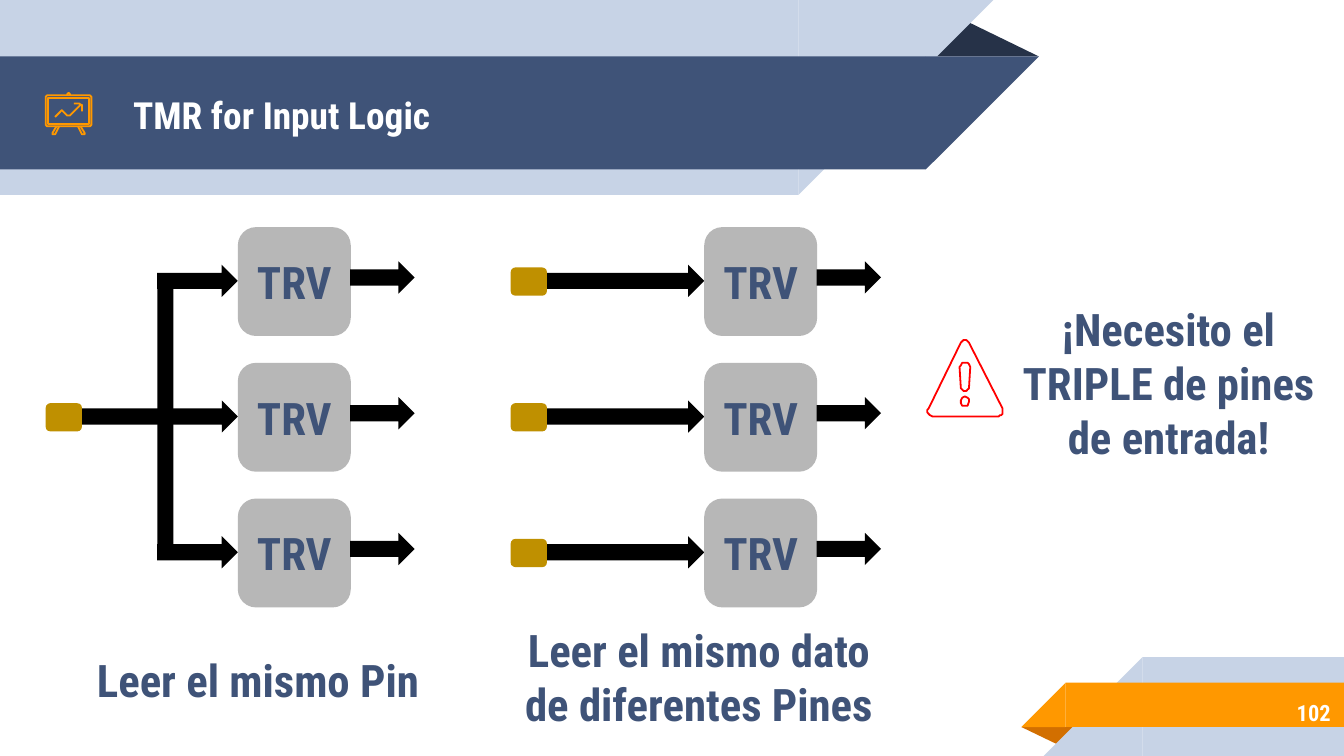
import pptx
import pptx.util
import pptx.dml.color
import pptx.enum.shapes
import pptx.enum.text
import pptx.oxml.ns
import lxml.etree

RGB = pptx.dml.color.RGBColor
KIND = pptx.enum.shapes.MSO_SHAPE
ALIGN = pptx.enum.text.PP_ALIGN
NAVY, DARK, PALE = RGB(63, 83, 120), RGB(38, 50, 72), RGB(199, 211, 230)
ORANGE, RUST, GOLD = RGB(255, 152, 0), RGB(210, 111, 0), RGB(191, 144, 0)
GREY, BLACK = RGB(183, 183, 183), RGB(0, 0, 0)
WHITE, RED = RGB(255, 255, 255), RGB(255, 0, 0)

# Wide 16:9 page
deck = pptx.Presentation()
deck.slide_width = pptx.util.Inches(10)
deck.slide_height = deck.slide_width * 9 // 16
page = deck.slides.add_slide(deck.slide_layouts.get_by_name("Comparison"))
# Square grid: 1000 columns across the slide
GRID = deck.slide_width // 1000


def add_block(kind, left, top, width, height, color, rotation=0, flip=False):
    block = page.shapes.add_shape(kind, *[int(n * GRID) for n in (left, top, width, height)])
    block.shadow.inherit = False
    block.fill.solid()
    block.fill.fore_color.rgb = color
    block.line.fill.background()
    block.rotation = rotation
    if flip:
        block._element.spPr.xfrm.set("flipH", "1")
    return block


def write(box, text, size, color, align, before=0, after=0):
    frame = box.text_frame
    frame_format = {
        "word_wrap": True,
        "auto_size": pptx.enum.text.MSO_AUTO_SIZE.NONE,
        "vertical_anchor": pptx.enum.text.MSO_ANCHOR.MIDDLE,
    }
    for side in ("left", "top", "right", "bottom"):
        frame_format["margin_" + side] = 10 * GRID
    for name, value in frame_format.items():
        setattr(frame, name, value)
    para = frame.paragraphs[0]
    span = para.add_run()
    span.text = text
    para_format = {
        "alignment": align,
        "line_spacing": 1.0,
        "space_before": pptx.util.Pt(before),
        "space_after": pptx.util.Pt(after),
    }
    for name, value in para_format.items():
        setattr(para, name, value)
    font_format = {"name": "Roboto Condensed", "size": pptx.util.Pt(size), "bold": True}
    for name, value in font_format.items():
        setattr(span.font, name, value)
    span.font.color.rgb = color


# Header and footer ribbons
add_block(KIND.ISOSCELES_TRIANGLE, 688, 14, 85, 28, DARK).adjustments[0] = 0.324
for top, width, height, color in [(0, 594, 145, PALE), (42, 689, 84, NAVY)]:
    add_block(KIND.RECTANGLE, 0, top, width, height, color)
    add_block(KIND.RIGHT_TRIANGLE, width, top, height, height, color, 180, True)
fold = add_block(KIND.ISOSCELES_TRIANGLE, 760, 541, 43, 14, RUST, 180)
fold.adjustments[0] = 0.324
for left, top, height, color in [(850, 489, 73.5, PALE), (793, 508, 33, ORANGE)]:
    add_block(KIND.RECTANGLE, left, top, 1000 - left, height, color)
    add_block(KIND.RIGHT_TRIANGLE, left - height, top, height, height, color, 0, True)

# Title, captions and warning, in the layout's placeholders
slots = {slot.placeholder_format.idx: slot for slot in page.placeholders}
unused = slots.pop(4)._element
unused.getparent().remove(unused)
texts = [
    (0, (89, 43, 598, 84), "TMR for Input Logic", 20, WHITE, ALIGN.LEFT),
    (1, (44, 488, 296, 35), "Leer el mismo Pin", 24, NAVY, ALIGN.CENTER, 0, 10),
    (3, (372, 472, 296, 63), "Leer el mismo dato de diferentes Pines", 24, NAVY, ALIGN.CENTER, 0, 10),
    (2, (746, 221, 247, 127), "¡Necesito el TRIPLE de pines de entrada!", 24, NAVY, ALIGN.CENTER, 0, 10),
]
for slot, place, *content in texts:
    box = slots[slot]
    for name, value in zip(("left", "top", "width", "height"), place):
        setattr(box, name, value * GRID)
    page.shapes._spTree.append(box._element)
    if slot:
        properties = box.text_frame.paragraphs[0]._p.get_or_add_pPr()
        properties.set("marL", "0")
        properties.set("indent", "0")
        lxml.etree.SubElement(properties, pptx.oxml.ns.qn("a:buNone"))
    write(box, *content)

# Page number
box = page.shapes.add_textbox(*[n * GRID for n in (837, 513, 163, 35)])
write(box, "102", 12, WHITE, ALIGN.RIGHT)

# Two diagrams: pin column, voter column, input arrow starts, rows with a pin
diagrams = [(34, 177, (117, 59, 117), (1,)), (380, 524, (407, 405, 407), (0, 1, 2))]
for left, voter_left, starts, pins in diagrams:
    for row, start in enumerate(starts):
        drop = 101 * row
        add_block(KIND.RIGHT_ARROW, start, 197 + drop, voter_left - start, 24, BLACK)
        voter = add_block(KIND.ROUNDED_RECTANGLE, voter_left, 169 + drop, 84, 81, GREY)
        write(voter, "TRV", 24, NAVY, ALIGN.CENTER)
        add_block(KIND.RIGHT_ARROW, voter_left + 83.5, 194.5 + drop, 48, 24, BLACK)
    for row in pins:
        add_block(KIND.ROUNDED_RECTANGLE, left, 199 + 101 * row, 27, 21, GOLD)
# Trunk that joins the three inputs of the shared pin
add_block(KIND.RECTANGLE, 117, 207, 12, 209, BLACK)

# Line icons: colour, closed or open, contours in grid units
icons = [
    # Chart board: frame, hook, legs, panel, trend, arrow tip
    (ORANGE, True, [[(35, 71), (67, 71), (68, 72), (68, 93), (67, 94), (35, 94), (34, 93), (34, 72)]]),
    (ORANGE, False, [[(50, 71), (50, 70), (51, 69), (52, 70), (52, 71)]]),
    (ORANGE, False, [[(42, 94), (39, 99), (39, 100), (40, 100), (41, 100), (44, 94)]]),
    (ORANGE, False, [[(58, 94), (61, 100), (62, 100), (63, 100), (63, 99), (60, 94)]]),
    (ORANGE, True, [[(36, 73), (36, 92), (66, 92), (66, 73)]]),
    (ORANGE, False, [[(60, 78), (52, 86), (51, 86), (50, 86), (46, 82), (41, 87)]]),
    (ORANGE, False, [[(55, 77), (59, 77), (60, 77.5), (61, 78), (61, 83)]]),
    # Warning sign: triangle, dot, bar
    (RED, True, [
        [(746, 304), (721, 255), (720, 254), (719, 253), (718, 253), (717, 253), (716, 254),
         (715, 255), (691, 304), (690, 305), (690, 307), (691, 308), (692, 309), (694, 310),
         (743, 310), (744, 309), (745, 309), (746, 308), (746, 307), (746, 305)],
        [(718, 302), (716, 301.5), (715, 300), (715, 298), (716, 296), (718, 295),
         (720, 295.5), (721, 297), (721, 299), (720, 301.5)],
        [(722, 273), (721, 289), (720, 290.5), (719, 291), (717, 291), (716, 290.5),
         (715, 289), (714, 273), (715, 271.5), (716, 270), (720, 270), (721, 271)],
    ]),
]
for color, closed, contours in icons:
    pen = page.shapes.build_freeform(*contours[0][0], scale=GRID)
    for number, points in enumerate(contours):
        if number:
            pen.move_to(*points[0])
        pen.add_line_segments(points[1:], close=closed)
    icon = pen.convert_to_shape()
    icon.shadow.inherit = False
    icon.fill.background()
    icon.line.color.rgb = color
    icon.line.width = pptx.util.Pt(0.96)

deck.save("out.pptx")
